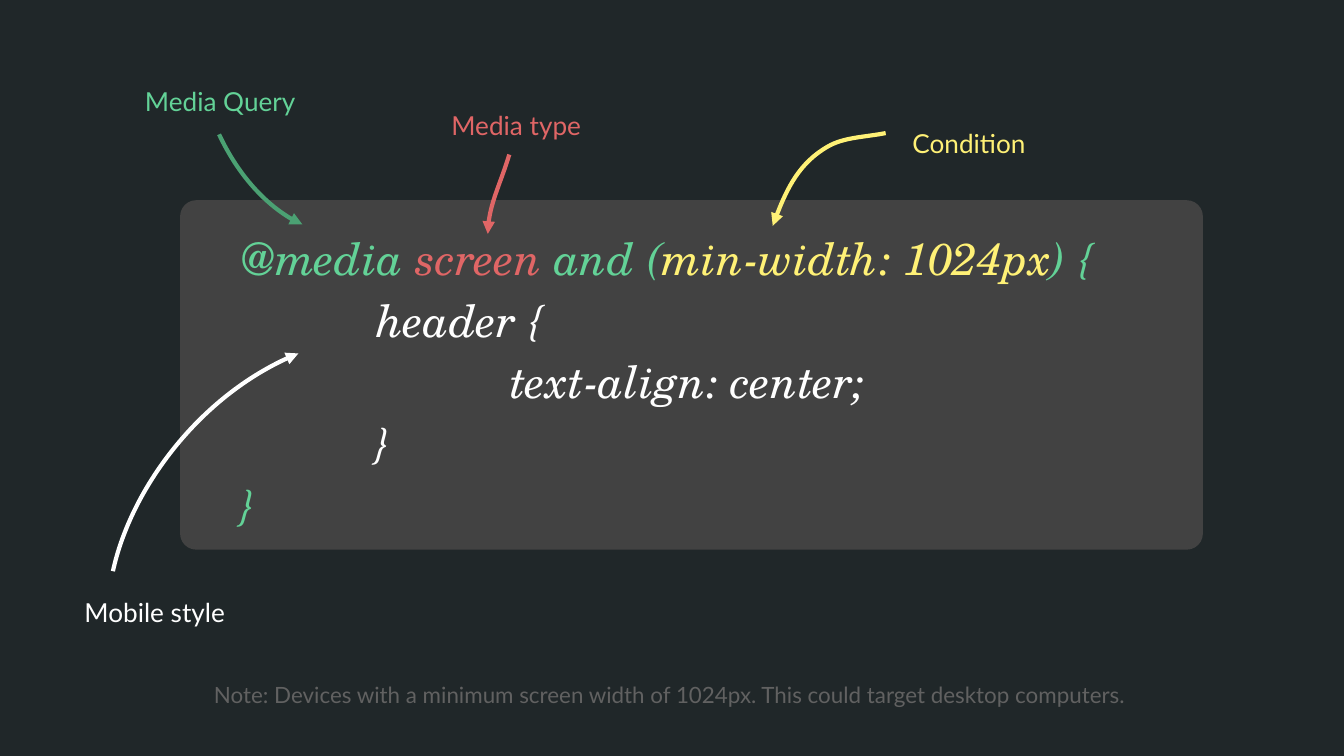
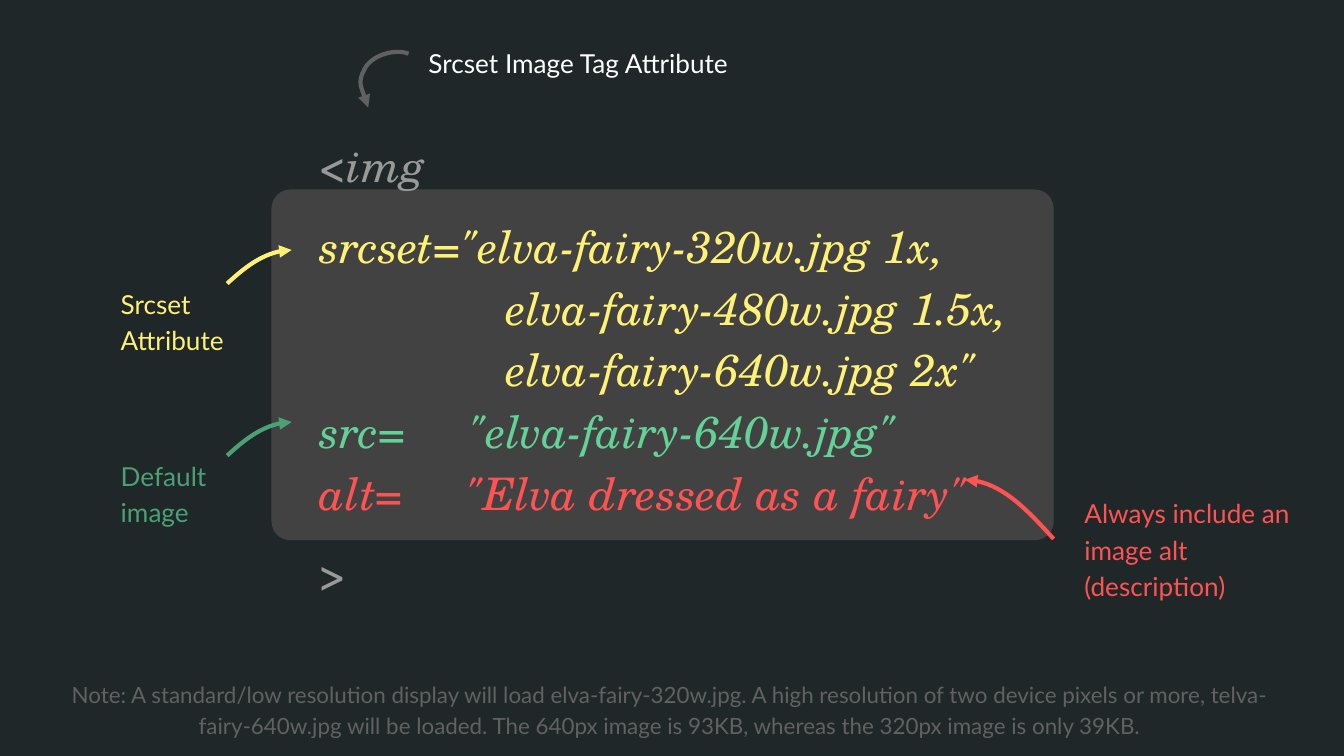
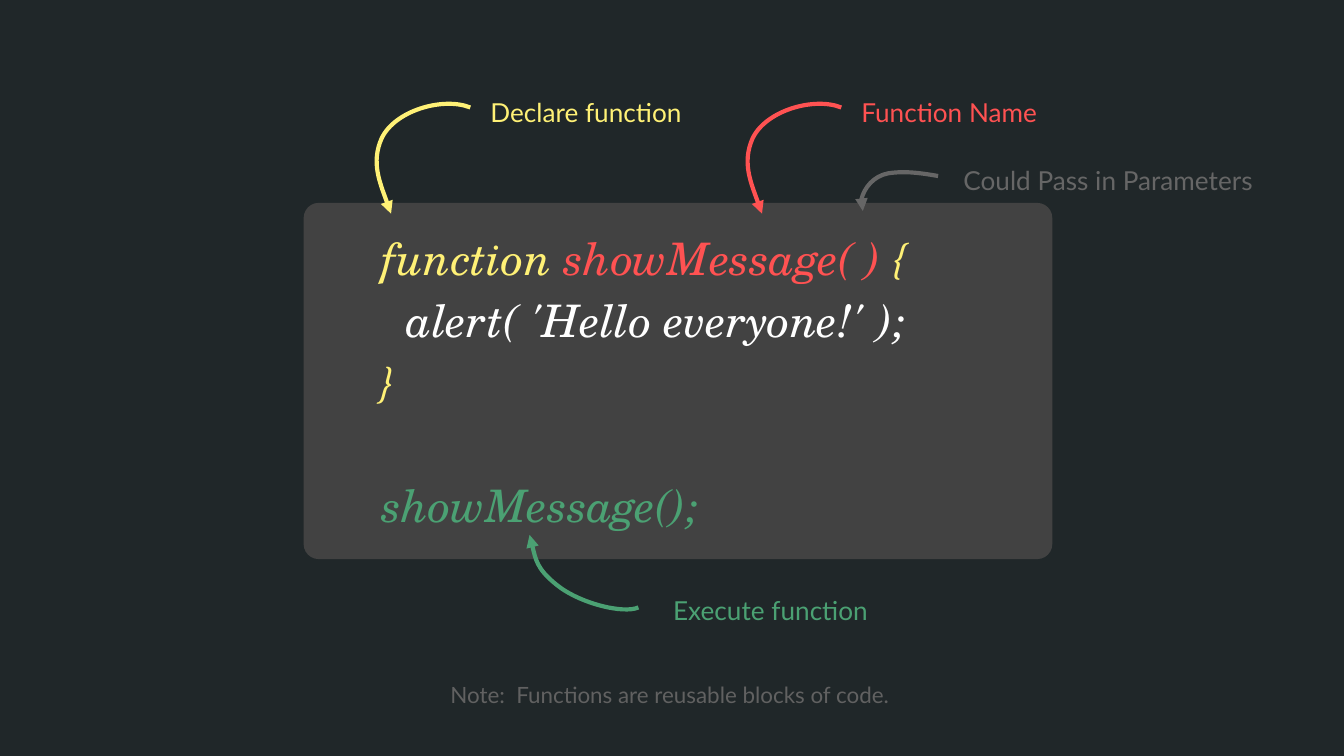
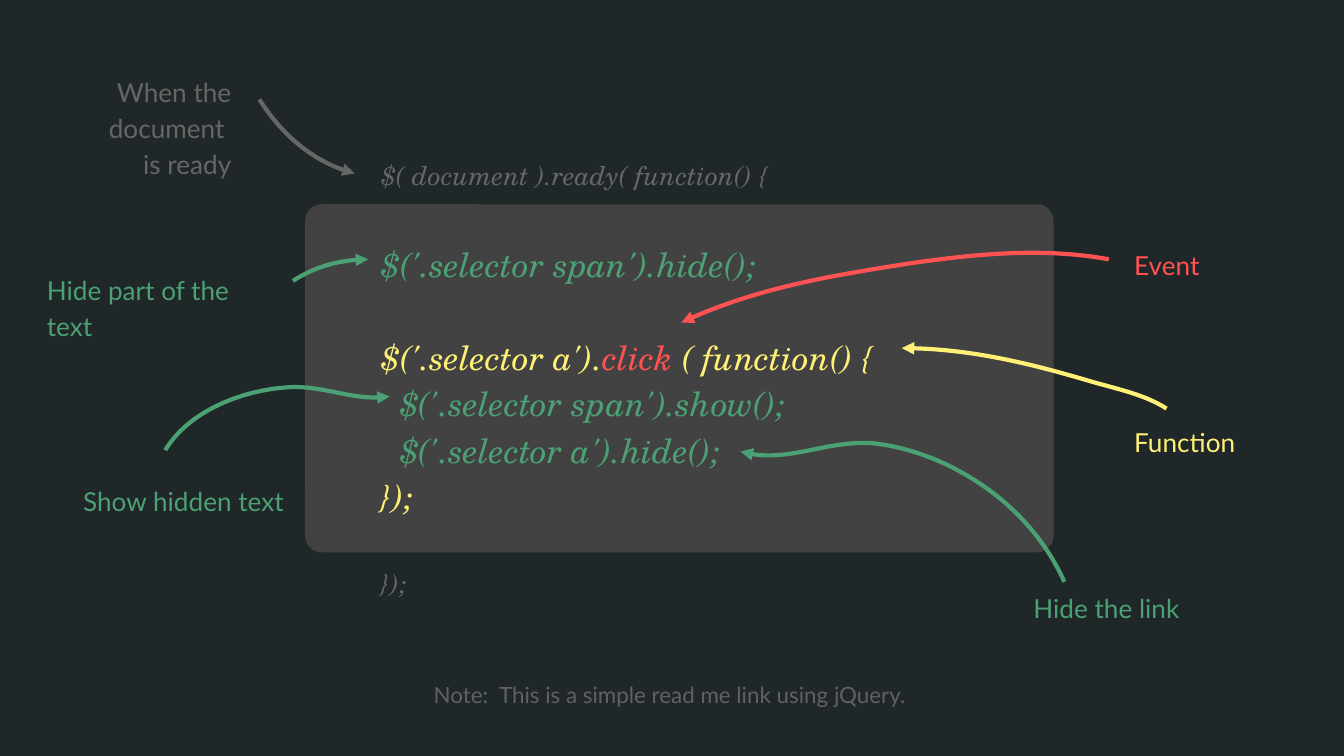
from dataclasses import dataclass

from lxml.etree import SubElement
from pptx import Presentation
from pptx.dml.color import RGBColor
from pptx.enum.shapes import MSO_SHAPE as Shape
from pptx.enum.text import MSO_ANCHOR as Anchor, PP_ALIGN as Align
from pptx.oxml.ns import qn
from pptx.util import Inches, Pt


@dataclass(frozen=True)
class Theme:
    background: str = "202729"
    panel: str = "424242"
    white: str = "FFFFFF"
    mint: str = "63D297"
    green: str = "4BA173"
    yellow: str = "FFF176"
    coral: str = "E06666"
    red: str = "FF5252"
    silver: str = "999999"
    gray: str = "666666"
    muted: str = "616161"
    label_font: str = "Lato"
    code_font: str = "TeX Gyre Schola"
    code_size: int = 24
    small_code_size: int = 18
    label_size: int = 14
    note_size: int = 12
    arrow_width: float = 2.25
    line_spacing: float = 1.15


THEME = Theme()


@dataclass
class CodeLine:
    """One line of code: (text, colour) runs, with the space above in points."""
    runs: list
    before: float = 0
    size: int = THEME.code_size


class Deck:
    def __init__(self, theme):
        self.theme = theme
        self.presentation = Presentation()
        self.presentation.slide_width = Inches(10)
        self.presentation.slide_height = Inches(10) * 9 // 16
        self.slide = None

    def new_slide(self):
        self.slide = self.presentation.slides.add_slide(self.presentation.slide_layouts[6])
        fill = self.slide.background.fill
        fill.solid()
        fill.fore_color.rgb = RGBColor.from_string(self.theme.background)

    def panel(self, left, top, width, height, rounding):
        shape = self.slide.shapes.add_shape(
            Shape.ROUNDED_RECTANGLE, Inches(left), Inches(top), Inches(width), Inches(height))
        shape.adjustments[0] = rounding
        shape.shadow.inherit = False
        shape.fill.solid()
        shape.fill.fore_color.rgb = RGBColor.from_string(self.theme.panel)
        shape.line.fill.background()

    def text_frame(self, left, top, width, height):
        box = self.slide.shapes.add_textbox(
            Inches(left), Inches(top), Inches(width), Inches(height))
        frame = box.text_frame
        frame.word_wrap = True
        frame.margin_left = frame.margin_right = Inches(0.1)
        frame.margin_top = frame.margin_bottom = Inches(0.1)
        return frame

    def style_run(self, run, font_name, size, color, italic=False):
        run.font.name = font_name
        run.font.size = Pt(size)
        run.font.italic = italic
        run.font.color.rgb = RGBColor.from_string(color)

    def add_tab_stops(self, paragraph, *positions):
        tab_list = SubElement(paragraph._p.get_or_add_pPr(), qn("a:tabLst"))
        for position in positions:
            SubElement(tab_list, qn("a:tab"), pos=str(Inches(position)), algn="l")

    def code(self, left, width, lines, top=0.58):
        frame = self.text_frame(left, top, width, 4.45)
        frame.vertical_anchor = Anchor.MIDDLE
        for index, line in enumerate(lines):
            paragraph = frame.add_paragraph() if index else frame.paragraphs[0]
            paragraph.line_spacing = self.theme.line_spacing
            if line.before:
                paragraph.space_before = Pt(line.before)
            if line.runs[0][0].startswith("\t"):
                self.add_tab_stops(paragraph, 1, 2)
            for text, color in line.runs:
                run = paragraph.add_run()
                run.text = text
                self.style_run(run, self.theme.code_font, line.size, color, italic=True)

    def label(self, text, color, left, top, width, height=0.44, align=Align.LEFT, size=None):
        frame = self.text_frame(left, top, width, height)
        frame.text = text
        for paragraph in frame.paragraphs:
            paragraph.alignment = align
            paragraph.line_spacing = self.theme.line_spacing
            for run in paragraph.runs:
                self.style_run(run, self.theme.label_font, size or self.theme.label_size, color)

    def note(self, text):
        self.label(text, self.theme.muted, 0.4, 4.94, 9.17,
                   align=Align.CENTER, size=self.theme.note_size)

    def arrow(self, color, *points):
        """Curve from the first point to a tip at the last; three points per Bézier piece."""
        start, *vertices = [(Inches(x), Inches(y)) for x, y in points]
        builder = self.slide.shapes.build_freeform(*start)
        builder.add_line_segments(vertices, close=False)
        shape = builder.convert_to_shape()
        shape.shadow.inherit = False
        shape.fill.background()
        shape.line.color.rgb = RGBColor.from_string(color)
        shape.line.width = Pt(self.theme.arrow_width)

        properties = shape._element.spPr
        outline = properties.find(".//" + qn("a:path"))
        outline.set("fill", "none")
        segments = outline.findall(qn("a:lnTo"))
        for index, segment in enumerate(segments):
            if index % 3 == 0:
                curve = SubElement(outline, qn("a:cubicBezTo"))
            curve.append(segment[0])
            outline.remove(segment)
        SubElement(properties.find(qn("a:ln")), qn("a:tailEnd"), type="triangle")


def media_query_slide(deck):
    t = deck.theme
    deck.new_slide()
    deck.panel(1.34, 1.49, 7.61, 2.6, 0.046)
    deck.code(1.7, 7.87, [
        CodeLine([("@media ", t.mint), ("screen", t.coral), (" and (", t.mint),
                  ("min-width: 1024px", t.yellow), (") {", t.mint)]),
        CodeLine([("\theader {", t.white)]),
        CodeLine([("\t\ttext-align: center;", t.white)]),
        CodeLine([("\t}", t.white)]),
        CodeLine([("}", t.mint)]),
    ])
    deck.label("Media Query", t.mint, 0.98, 0.5, 1.56)
    deck.label("Mobile style", t.white, 0.53, 4.3, 1.56)
    deck.label("Condition", t.yellow, 6.69, 0.81, 1.56)
    deck.label("Media type", t.coral, 3.26, 0.68, 1.56)
    deck.arrow(t.white, (0.84, 4.25), (0.97, 3.65), (1.5, 2.92), (2.22, 2.63))
    deck.arrow(t.green, (1.63, 1), (1.78, 1.32), (2.05, 1.59), (2.25, 1.67))
    deck.arrow(t.yellow, (6.59, 0.99), (6.44, 1.02), (6.28, 1.02), (6.16, 1.09),
               (5.95, 1.21), (5.83, 1.45), (5.75, 1.68))
    deck.arrow(t.coral, (3.79, 1.15), (3.73, 1.35), (3.63, 1.54), (3.63, 1.74))
    deck.note("Note: Devices with a minimum screen width of 1024px. "
              "This could target desktop computers.")


def srcset_slide(deck):
    t = deck.theme
    deck.new_slide()
    deck.panel(2.02, 1.41, 5.82, 2.61, 0.054)
    deck.code(2.28, 6.93, [
        CodeLine([("<img", t.silver)]),
        CodeLine([('srcset="elva-fairy-320w.jpg 1x,', t.yellow)], before=10),
        CodeLine([('               elva-fairy-480w.jpg 1.5x,', t.yellow)]),
        CodeLine([('               elva-fairy-640w.jpg 2x"', t.yellow)]),
        CodeLine([('src=     "elva-fairy-640w.jpg"', t.mint)]),
        CodeLine([('alt=     "Elva dressed as a fairy"', t.red)]),
        CodeLine([(">", t.silver)], before=10),
    ], top=0.49)
    deck.arrow(t.muted, (3.04, 0.4), (2.94, 0.36), (2.76, 0.41), (2.71, 0.52),
               (2.66, 0.61), (2.71, 0.71), (2.74, 0.8))
    deck.label("Srcset Image Tag Attribute", t.white, 3.09, 0.22, 3.2)
    for text, color, top in (("Srcset\nAttribute", t.yellow, 2.01),
                             ("Default\nimage", t.green, 3.29)):
        deck.label(text, color, 0.8, top, 1.07, 0.83)
        deck.arrow(color, (1.69, top + 0.1), (1.82, top - 0.02),
                   (1.99, top - 0.15), (2.17, top - 0.15))
    deck.label("Always include an image alt (description)", t.red, 7.97, 3.57, 1.74, 0.83)
    deck.arrow(t.red, (7.84, 4.01), (7.65, 3.8), (7.43, 3.57), (7.18, 3.57))
    deck.note("Note: A standard/low resolution display will load elva-fairy-320w.jpg. "
              "A high resolution of two device pixels or more, telva-fairy-640w.jpg will be "
              "loaded. The 640px image is 93KB, whereas the 320px image is only 39KB.")


def function_slide(deck):
    t = deck.theme
    deck.new_slide()
    deck.panel(2.26, 1.51, 5.57, 2.65, 0.042)
    deck.code(2.74, 6.83, [
        CodeLine([("function ", t.yellow), ("showMessage( )", t.red), (" {", t.yellow)]),
        CodeLine([("  ", t.yellow), ("alert( 'Hello everyone!' );", t.white)]),
        CodeLine([("}", t.yellow)]),
        CodeLine([("showMessage();", t.green)], before=33),
    ])
    for text, color, left in (("Declare function", t.yellow, 3.55),
                              ("Function Name", t.red, 6.31)):
        deck.label(text, color, left, 0.58, 1.95, 0.51)
        deck.arrow(color, (left - 0.05, 0.8), (left - 0.25, 0.72), (left - 0.61, 0.82),
                   (left - 0.71, 1.03), (left - 0.79, 1.21), (left - 0.7, 1.42),
                   (left - 0.64, 1.59))
    deck.label("Execute function", t.green, 4.91, 4.29, 1.95, 0.51)
    deck.arrow(t.green, (4.75, 4.52), (4.64, 4.57), (4.31, 4.49), (4.14, 4.35),
               (3.99, 4.23), (3.97, 4.1), (3.94, 3.98))
    deck.label("Could Pass in Parameters", t.gray, 7.07, 1.09, 2.5, 0.51)
    deck.arrow(t.gray, (6.98, 1.31), (6.86, 1.29), (6.74, 1.27), (6.61, 1.29),
               (6.5, 1.31), (6.36, 1.47), (6.42, 1.57))
    deck.note("Note:  Functions are reusable blocks of code.")


def jquery_slide(deck):
    t = deck.theme
    small, tiny = t.small_code_size, t.label_size
    blank_line = 25
    deck.new_slide()
    deck.panel(2.27, 1.52, 5.57, 2.59, 0.048)
    deck.code(2.74, 6.83, [
        CodeLine([("$( document ).ready( function() {", t.gray)], size=tiny),
        CodeLine([("$('.selector span').hide();", t.green)], blank_line, small),
        CodeLine([("$('.selector a').", t.yellow), ("click ", t.red),
                  ("( function() {", t.yellow)], blank_line, small),
        CodeLine([("  $('.selector span').show();", t.green)], size=small),
        CodeLine([("  $('.selector a').hide();", t.green)], size=small),
        CodeLine([("});", t.yellow)], size=small),
        CodeLine([("});", t.gray)], blank_line, tiny),
    ])
    deck.label("When the document \nis ready", t.gray, 0.4, 0.43, 1.42, 0.71, Align.RIGHT)
    deck.label("Hide part of the text", t.green, 0.25, 1.91, 1.92)
    deck.label("Function", t.yellow, 8.34, 3.04, 1.09)
    deck.label("Show hidden text", t.green, 0.52, 3.48, 1.71, 0.62)
    deck.label("Hide the link", t.green, 7.59, 4.27, 1.71, 0.52)
    deck.label("Event", t.red, 8.34, 1.72, 1.41, 0.41)
    deck.arrow(t.yellow, (8.68, 3.04), (8.51, 2.93), (8.29, 2.89), (8.09, 2.83),
               (7.65, 2.7), (7.18, 2.59), (6.71, 2.59))
    deck.arrow(t.green, (1.23, 3.35), (1.41, 3.05), (1.83, 2.89), (2.19, 2.88),
               (2.42, 2.88), (2.66, 2.99), (2.9, 2.95))
    deck.arrow(t.green, (7.92, 4.33), (7.64, 3.71), (7.02, 3.36), (6.51, 3.3),
               (6.17, 3.27), (5.85, 3.46), (5.51, 3.36))
    deck.arrow(t.red, (8.25, 1.93), (7.76, 1.84), (7.26, 1.89), (6.77, 1.96),
               (6.19, 2.05), (5.6, 2.15), (5.07, 2.4))
    deck.arrow(t.gray, (1.93, 0.74), (2.09, 0.99), (2.35, 1.22), (2.64, 1.29))
    deck.arrow(t.green, (2.18, 2.09), (2.34, 1.99), (2.54, 1.93), (2.74, 1.93))
    deck.note("Note:  This is a simple read me link using jQuery.")


def main():
    deck = Deck(THEME)
    media_query_slide(deck)
    srcset_slide(deck)
    function_slide(deck)
    jquery_slide(deck)
    deck.presentation.save("out.pptx")


if __name__ == "__main__":
    main()
